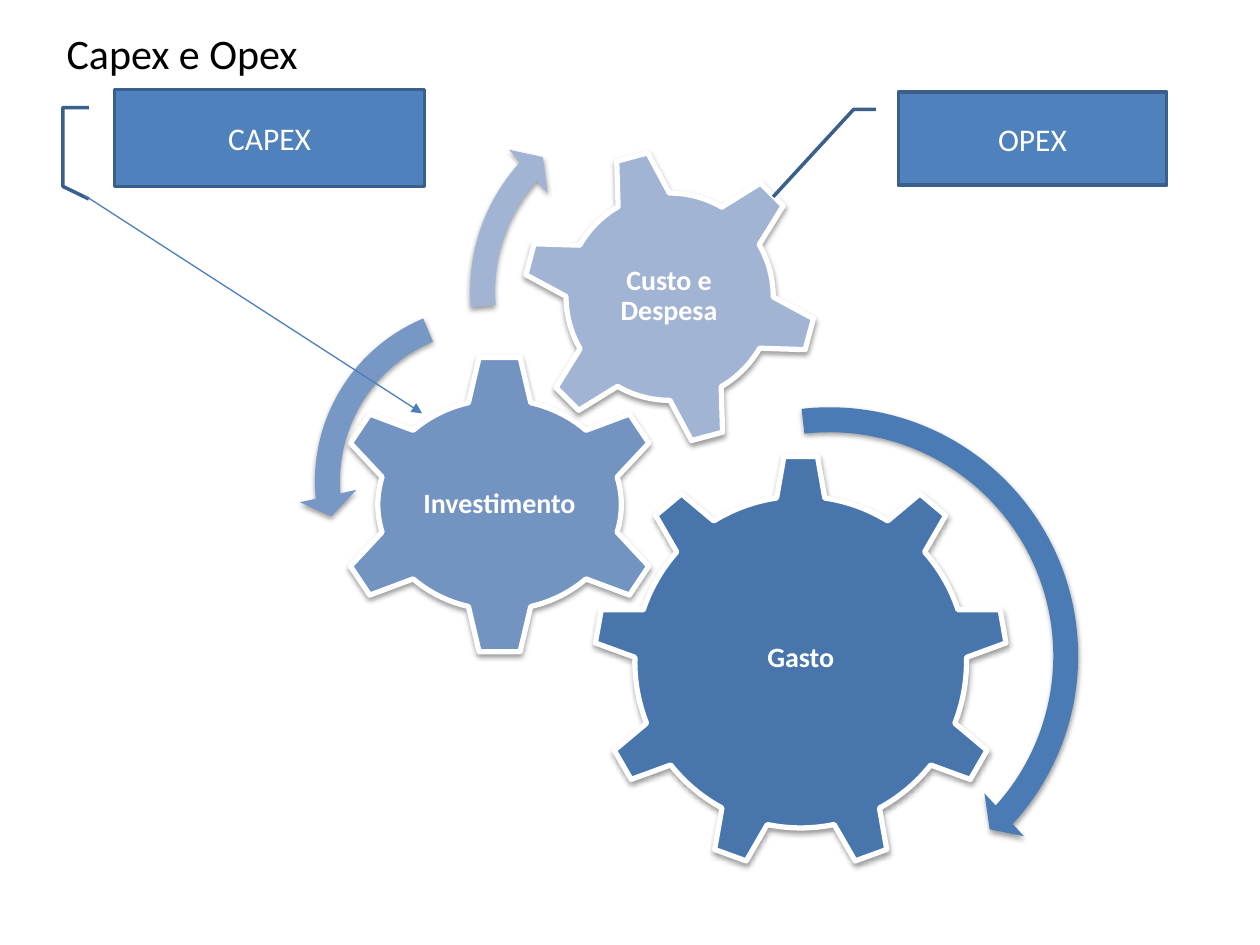
from lxml import etree
from pptx import Presentation
from pptx.dml.color import RGBColor
from pptx.enum.shapes import MSO_CONNECTOR, MSO_SHAPE
from pptx.enum.text import MSO_ANCHOR, MSO_AUTO_SIZE, PP_ALIGN
from pptx.oxml import parse_xml
from pptx.oxml.ns import nsdecls, qn
from pptx.util import Inches, Pt

GEAR_6, GEAR_9 = MSO_SHAPE.GEAR_6, MSO_SHAPE.GEAR_9
ARROW, LEFT_ARROW = MSO_SHAPE.CIRCULAR_ARROW, MSO_SHAPE.LEFT_CIRCULAR_ARROW
CALLOUT_2, CALLOUT_3 = MSO_SHAPE.LINE_CALLOUT_2, MSO_SHAPE.LINE_CALLOUT_3
STRAIGHT = MSO_CONNECTOR.STRAIGHT
LEFT, CENTER = PP_ALIGN.LEFT, PP_ALIGN.CENTER
TOP, MIDDLE = MSO_ANCHOR.TOP, MSO_ANCHOR.MIDDLE
FIT_SHAPE = MSO_AUTO_SIZE.SHAPE_TO_FIT_TEXT

COLORS = {
    "black": "000000",
    "white": "FFFFFF",
    "expense": "4875AC",
    "investment": "7393C1",
    "cost": "A2B4D4",
    "expense_arrow": "4B7BB5",
    "investment_arrow": "7797C4",
    "cost_arrow": "A1B4D4",
    "callout": "4F81BD",
    "callout_line": "3A5F8C",
    "pointer": "4B7EBC",
}


def color(name):
    return RGBColor.from_string(COLORS[name])


def write_text(frame, text, *, size, fill="white", font="Calibri", bold=False,
               align=CENTER, anchor=MIDDLE, inset=None, spacing=None, after=None):
    frame.word_wrap = True
    frame.vertical_anchor = anchor
    if inset is not None:
        frame.margin_left = frame.margin_right = Inches(inset)
        frame.margin_top = frame.margin_bottom = Inches(inset)
    paragraph = frame.paragraphs[0]
    paragraph.alignment = align
    paragraph.line_spacing = spacing
    paragraph.space_after = after
    run = paragraph.add_run()
    run.text = text
    run.font.name = font
    run.font.size = Pt(size)
    run.font.bold = bold
    run.font.color.rgb = color(fill)


class SlideBuilder:
    def __init__(self, slide):
        self.slide = slide

    def shape(self, kind, box, fill, line=None, width=0, shadow=False):
        shape = self.slide.shapes.add_shape(kind, *map(Inches, box))
        shape.shadow.inherit = False
        shape.fill.solid()
        shape.fill.fore_color.rgb = color(fill)
        if line:
            shape.line.color.rgb = color(line)
            shape.line.width = Pt(width)
        else:
            shape.line.fill.background()
        if shadow:
            effects = shape._element.spPr.find(qn("a:effectLst"))
            effects.append(parse_xml(
                f'<a:outerShdw {nsdecls("a")} blurRad="{Pt(3.1)}" dist="{Pt(1.6)}" '
                f'dir="5400000" rotWithShape="0"><a:srgbClr val="{COLORS["black"]}">'
                '<a:alpha val="38000"/></a:srgbClr></a:outerShdw>'))
        return shape

    def text(self, box, text, **style):
        text_box = self.slide.shapes.add_textbox(*map(Inches, box))
        write_text(text_box.text_frame, text, **style)
        return text_box

    def gear(self, kind, box, label_box, text, fill, rotation=0):
        gear = self.shape(kind, box, fill, "white", 3, shadow=True)
        gear.rotation = rotation
        self.text(label_box, text, size=16, bold=True, inset=0.02,
                  spacing=0.9, after=Pt(5.6))

    def arc_arrow(self, kind, left, top, size, fill, adjustments):
        arrow = self.shape(kind, (left, top, size, size), fill, shadow=True)
        for index, value in enumerate(adjustments):
            arrow.adjustments[index] = value

    def callout(self, kind, box, text):
        callout = self.shape(kind, box, "callout", "callout_line", 2)
        write_text(callout.text_frame, text, size=18)

    def title(self, box, text):
        title = self.text(box, text, size=24, fill="black", align=LEFT, anchor=TOP)
        title.text_frame.auto_size = FIT_SHAPE

    def pointer(self, start, end):
        connector = self.slide.shapes.add_connector(
            STRAIGHT, *map(Inches, start + end))
        connector.line.color.rgb = color("pointer")
        connector.line.width = Pt(0.75)
        etree.SubElement(connector.line._get_or_add_ln(), qn("a:tailEnd"), type="triangle")
        etree.SubElement(connector._element.spPr, qn("a:effectLst"))


def main():
    presentation = Presentation()
    presentation.slide_width = Inches(10)
    presentation.slide_height = Inches(7.5)
    builder = SlideBuilder(presentation.slides.add_slide(presentation.slide_layouts[6]))

    builder.gear(GEAR_9, (4.71, 3.61, 3.29, 3.29), (5.37, 4.38, 1.97, 1.69),
                 "Gasto", "expense")
    builder.gear(GEAR_6, (2.64, 2.81, 2.65, 2.39), (3.28, 3.41, 1.37, 1.18),
                 "Investimento", "investment")
    builder.gear(GEAR_6, (4.14, 1.18, 2.35, 2.35), (4.65, 1.69, 1.32, 1.32),
                 "Custo e Despesa", "cost", rotation=345)

    builder.arc_arrow(ARROW, 4.48, 3.1, 4.21, "expense_arrow",
                      (0.047, 2.99, 25.4, 158.11, 0.055))
    builder.arc_arrow(LEFT_ARROW, 2.37, 2.29, 3.06, "investment_arrow",
                      (0.065, 4.3, 104.89, 148.38, 0.075))
    builder.arc_arrow(ARROW, 3.6, 0.66, 3.3, "cost_arrow",
                      (0.06, 3.94, 133.14, 105.08, 0.07))

    builder.title((0.43, 0.17, 6.46, 0.5), "Capex e Opex")
    builder.callout(CALLOUT_2, (7.13, 0.73, 2.13, 0.74), "OPEX")
    builder.callout(CALLOUT_3, (0.91, 0.71, 2.46, 0.77), "CAPEX")
    builder.pointer((0.67, 1.55), (3.35, 3.28))

    presentation.save("out.pptx")


if __name__ == "__main__":
    main()
